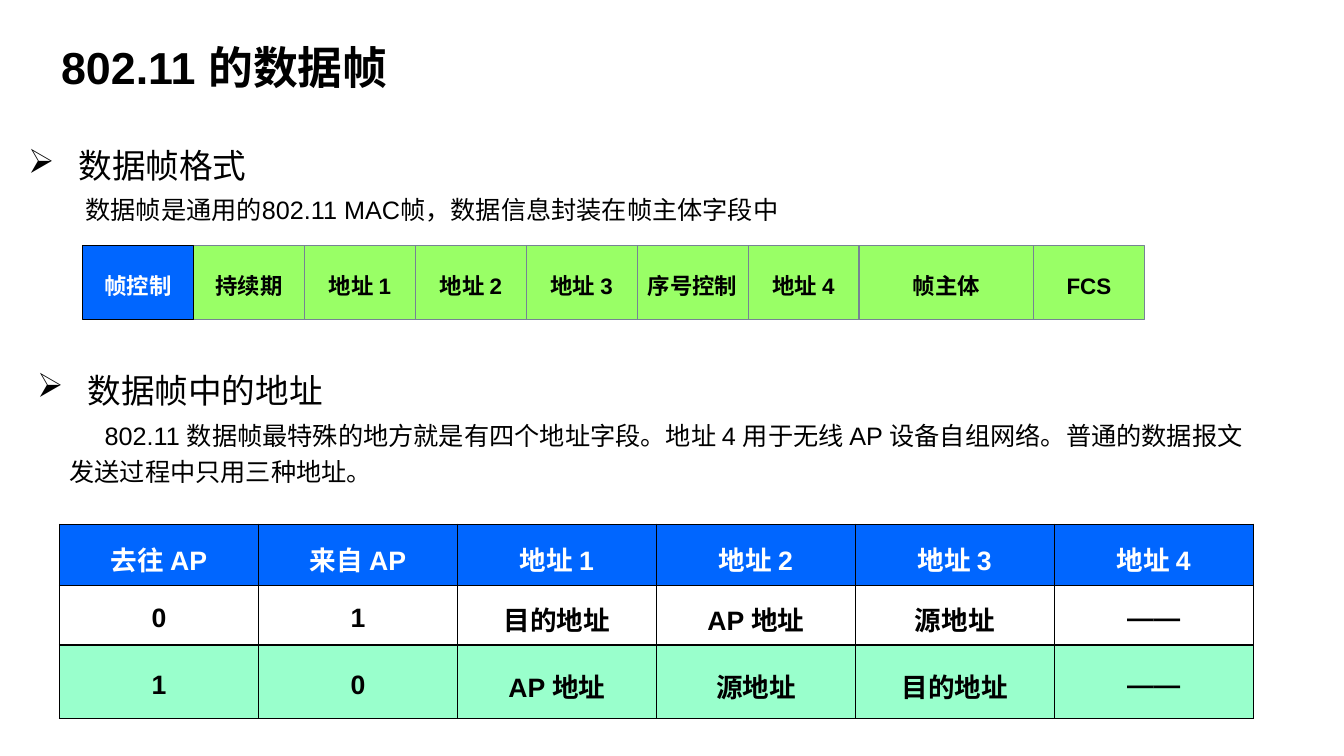
from pptx import Presentation
from pptx.dml.color import RGBColor
from pptx.enum.shapes import MSO_SHAPE
from pptx.enum.text import MSO_ANCHOR, PP_ALIGN
from pptx.oxml import parse_xml
from pptx.oxml.ns import nsdecls
from pptx.util import Inches, Pt

BLACK, WHITE, BLUE, GREEN, MINT, GREY = (
    "000000", "FFFFFF", "0066FF", "99FF66", "99FFCC", "768394")

TITLE = ("802.11 的数据帧", (0.43, 0.24, 3.59, 0.69))
HEADINGS = [
    ("数据帧格式", (0.18, 1.31, 2.39, 0.54)),
    ("数据帧中的地址", (0.27, 3.54, 3.06, 0.54)),
]
# text, box, first-line indent
BODY_TEXTS = [
    ("数据帧是通用的802.11 MAC帧，数据信息封装在帧主体字段中",
     (0.48, 1.82, 12.06, 0.43), 0.27),
    ("802.11 数据帧最特殊的地方就是有四个地址字段。地址 4 用于无线 AP 设备自组网络。"
     "普通的数据报文发送过程中只用三种地址。",
     (0.59, 4.06, 12.06, 0.8), 0.35),
]

FRAME_LEFT, FRAME_TOP, FRAME_HEIGHT = 0.82, 2.44, 0.73
FIELD_WIDTH, FRAME_BODY_WIDTH = 1.1, 1.73
FRAME_FIELDS = ["持续期", "地址 1", "地址 2", "地址 3", "序号控制", "地址 4", "帧主体", "FCS"]
CONTROL_FIELD = "帧控制"

TABLE_BOX = (0.59, 5.2, 11.84, 1.93)
# row height, fill, text colour, cells
ADDRESS_ROWS = [
    (0.61, BLUE, WHITE, ["去往 AP", "来自 AP", "地址 1", "地址 2", "地址 3", "地址 4"]),
    (0.59, WHITE, BLACK, ["0", "1", "目的地址", "AP 地址", "源地址", "——"]),
    (0.73, MINT, BLACK, ["1", "0", "AP 地址", "源地址", "目的地址", "——"]),
]


def color(value):
    return RGBColor.from_string(value)


def inches(box):
    return [Inches(length) for length in box]


def set_attributes(target, values):
    for name, value in values.items():
        setattr(target, name, value)


def write(text_frame, text, size, text_color=BLACK, bold=False, align=PP_ALIGN.LEFT):
    paragraph = text_frame.paragraphs[0]
    set_attributes(paragraph, {"alignment": align, "line_spacing": 1.2})
    run = paragraph.add_run()
    run.text = text
    set_attributes(run.font, {"name": "Arial", "size": Pt(size), "bold": bold})
    run.font.color.rgb = color(text_color)
    return paragraph


def add_text(slide, text, box, size, wrap=False, **style):
    text_frame = slide.shapes.add_textbox(*inches(box)).text_frame
    text_frame.word_wrap = wrap
    return write(text_frame, text, size, **style)


def add_heading(slide, text, box):
    properties = add_text(slide, text, box, 24)._p.get_or_add_pPr()
    properties.set("marL", str(Inches(0.5)))
    properties.set("indent", str(Inches(-0.5)))
    properties.append(parse_xml(f'<a:buChar {nsdecls("a")} char="➢"/>'))


def add_field(slide, text, left, width, fill, line, text_color):
    box = (left, FRAME_TOP, width, FRAME_HEIGHT)
    shape = slide.shapes.add_shape(MSO_SHAPE.RECTANGLE, *inches(box))
    shape.shadow.inherit = False
    shape.fill.solid()
    shape.fill.fore_color.rgb = color(fill)
    shape.line.color.rgb = color(line)
    shape.line.width = Pt(0.75)
    set_attributes(shape.text_frame,
                   {"word_wrap": False, "vertical_anchor": MSO_ANCHOR.MIDDLE})
    write(shape.text_frame, text, 16, text_color, True, PP_ALIGN.CENTER)


def add_frame(slide):
    left = FRAME_LEFT + FIELD_WIDTH
    for text in FRAME_FIELDS:
        width = FRAME_BODY_WIDTH if text == "帧主体" else FIELD_WIDTH
        add_field(slide, text, left, width, GREEN, GREY, BLACK)
        left += width
    add_field(slide, CONTROL_FIELD, FRAME_LEFT, FIELD_WIDTH, BLUE, BLACK, WHITE)


def add_borders(cell):
    properties = cell._tc.get_or_add_tcPr()
    for position, side in enumerate(("lnL", "lnR", "lnT", "lnB")):
        properties.insert(position, parse_xml(
            f'<a:{side} {nsdecls("a")} w="{Pt(1)}"><a:solidFill>'
            f'<a:srgbClr val="{BLACK}"/></a:solidFill></a:{side}>'))


def add_address_table(slide):
    column_count = len(ADDRESS_ROWS[0][3])
    table = slide.shapes.add_table(
        len(ADDRESS_ROWS), column_count, *inches(TABLE_BOX)).table
    for column in table.columns:
        column.width = Inches(TABLE_BOX[2] / column_count)
    for row, (height, fill, text_color, texts) in zip(table.rows, ADDRESS_ROWS):
        row.height = Inches(height)
        for cell, text in zip(row.cells, texts):
            set_attributes(cell, {
                "vertical_anchor": MSO_ANCHOR.MIDDLE,
                "margin_left": Inches(0.12), "margin_right": Inches(0.12),
                "margin_top": Inches(0.05), "margin_bottom": Inches(0.05)})
            cell.fill.solid()
            cell.fill.fore_color.rgb = color(fill)
            add_borders(cell)
            write(cell.text_frame, text, 19, text_color, True, PP_ALIGN.CENTER)


def main():
    presentation = Presentation()
    presentation.slide_width = Inches(13.33)
    presentation.slide_height = Inches(7.5)
    slide = presentation.slides.add_slide(presentation.slide_layouts[6])

    add_text(slide, *TITLE, 32, bold=True, align=PP_ALIGN.CENTER)
    for text, box in HEADINGS:
        add_heading(slide, text, box)
    for text, box, indent in BODY_TEXTS:
        paragraph = add_text(slide, text, box, 18, wrap=True)
        paragraph._p.get_or_add_pPr().set("indent", str(Inches(indent)))
    add_frame(slide)
    add_address_table(slide)
    presentation.save("out.pptx")


if __name__ == "__main__":
    main()
